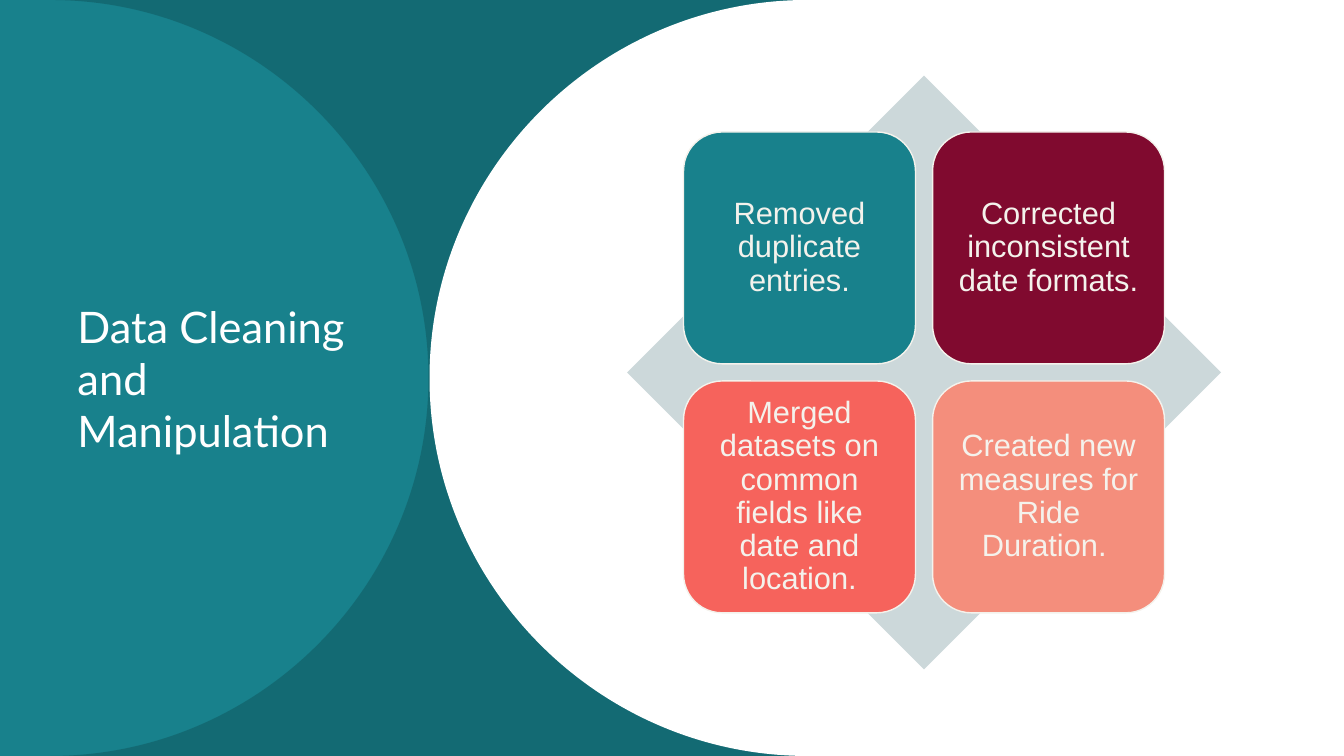
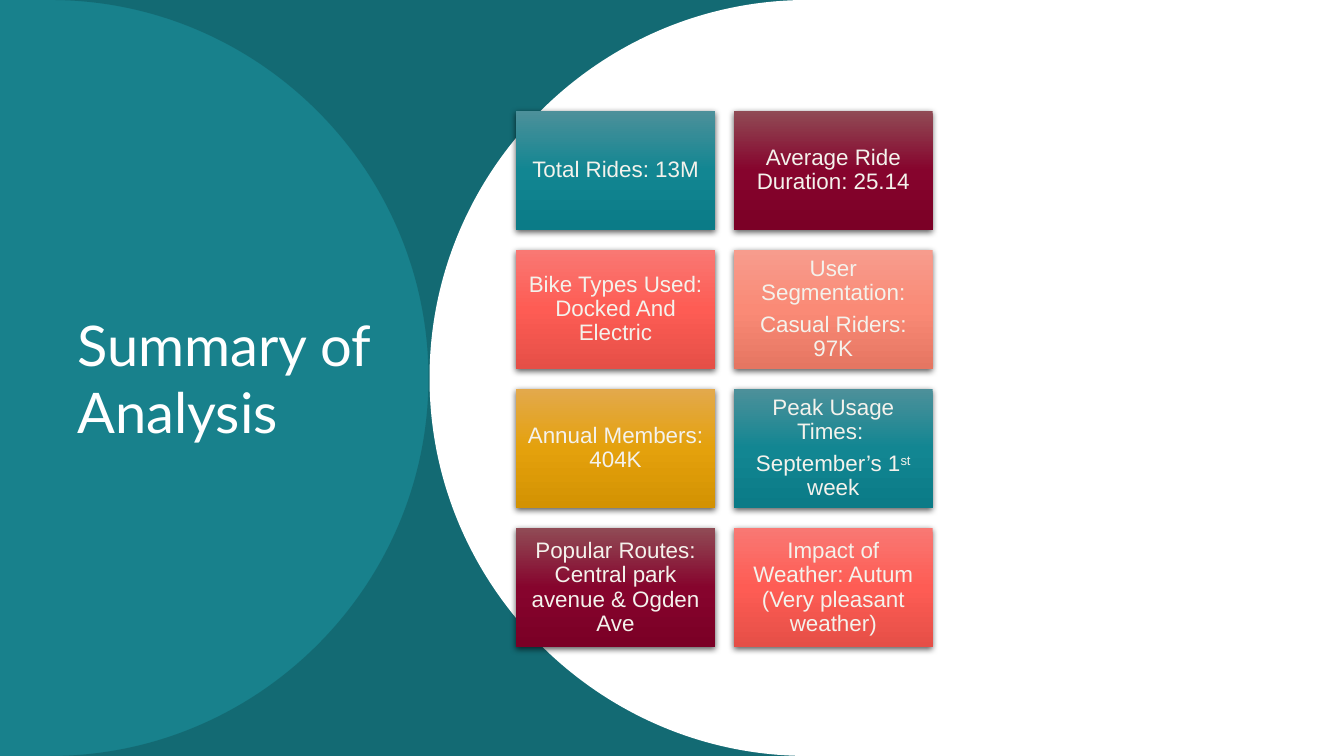
from dataclasses import dataclass

from pptx import Presentation
from pptx import util as u
from pptx.dml.color import RGBColor
from pptx.enum import shapes, text
from pptx.oxml import parse_xml
from pptx.oxml.ns import nsdecls

# Colours: one hex is a plain fill, three are a gradient from top to bottom
HUES: dict[str, str] = {
    "white": "FFFFFF",
    "cream": "F4F2EC",
    "grey": "CCD8DA",
    "band": "126169",
    "teal": "18818C",
    "wine": "800A2F",
    "coral": "F6635C",
    "peach": "F48E7C",
    "teal fade": "4D909A 128692 0B7B87",
    "wine fade": "904B55 86042D 7B0026",
    "coral fade": "F97873 FE5C54 E54F47",
    "peach fade": "F79C8D FA8A76 E57662",
    "gold fade": "E3A94C E4A10C D39202",
}
PRESET = shapes.MSO_SHAPE
WIDE, HIGH = 13.33, 7.5
RADIUS = HIGH / 2
BEND = 0.55 * RADIUS  # handle length that makes a quarter circle


@dataclass
class Card:
    hue: str
    lines: list[str]  # text between ^ marks is raised


@dataclass
class Grid:
    left: float
    top: float
    width: float
    height: float
    across: float  # step between columns
    down: float  # step between rows
    preset: PRESET
    size: int
    inset: float
    edge: bool
    shade: bool


TILES = Grid(
    6.78, 1.31, 2.3, 2.3, 2.47, 2.47, PRESET.ROUNDED_RECTANGLE, 22, 0.09, True, False
)
BOXES = Grid(5.12, 1.1, 1.97, 1.18, 2.16, 1.38, PRESET.RECTANGLE, 16, 0.07, False, True)

STEPS = [
    Card("teal", ["Removed duplicate entries."]),
    Card("wine", ["Corrected inconsistent date formats."]),
    Card("coral", ["Merged datasets on common fields like date and location."]),
    Card("peach", ["Created new measures for Ride Duration. "]),
]
FACTS = [
    Card("teal fade", ["Total Rides: 13M"]),
    Card("wine fade", ["Average Ride Duration: 25.14"]),
    Card("coral fade", ["Bike Types Used: Docked And Electric"]),
    Card("peach fade", ["User Segmentation:", "Casual Riders: 97K"]),
    Card("gold fade", ["Annual Members: 404K"]),
    Card("teal fade", ["Peak Usage Times: ", "September’s 1^st^ week"]),
    Card("wine fade", ["Popular Routes: Central park avenue & Ogden Ave"]),
    Card("coral fade", ["Impact of Weather: Autum (Very pleasant weather)"]),
]


def rgb(hue: str) -> RGBColor:
    return RGBColor.from_string(HUES[hue])


def paint(shape, hue: str) -> None:
    """Fill a shape, with no outline and no shadow."""
    shape.shadow.inherit = False
    shape.line.fill.background()
    codes = HUES[hue].split()
    if len(codes) == 1:
        shape.fill.solid()
        shape.fill.fore_color.rgb = rgb(hue)
        return
    stops = "".join(
        f'<a:gs pos="{50000 * i}"><a:srgbClr val="{code}"/></a:gs>'
        for i, code in enumerate(codes)
    )
    fade = parse_xml(
        f'<a:gradFill {nsdecls("a")} rotWithShape="1"><a:gsLst>{stops}</a:gsLst>'
        '<a:lin ang="5400000" scaled="0"/></a:gradFill>'
    )
    shape._element.spPr.find("{*}prstGeom").addnext(fade)


def shade(shape) -> None:
    """Give a shape a soft shadow below it."""
    glow = parse_xml(
        f'<a:outerShdw {nsdecls("a")} blurRad="57150" dist="19050" dir="5400000" '
        'algn="ctr" rotWithShape="0"><a:srgbClr val="000000">'
        '<a:alpha val="63000"/></a:srgbClr></a:outerShdw>'
    )
    shape._element.spPr.find("{*}effectLst").append(glow)


def block(slide, preset: PRESET, left: float, top: float, width: float, height: float, hue: str):
    box = [u.Inches(n) for n in (left, top, width, height)]
    shape = slide.shapes.add_shape(preset, *box)
    paint(shape, hue)
    return shape


def curve(slide, axis: float, side: int, right: float, hue: str):
    """Draw a panel whose left edge is a half circle; side 1 cuts in, -1 bulges out."""
    tip, pull = axis + side * RADIUS, axis + side * BEND
    spots = [
        (axis, 0),
        (pull, 0), (tip, RADIUS - BEND), (tip, RADIUS),
        (tip, RADIUS + BEND), (pull, HIGH), (axis, HIGH),
        (right, HIGH),
    ]
    form = slide.shapes.build_freeform(u.Inches(right), 0)
    form.add_line_segments([(u.Inches(x), u.Inches(y)) for x, y in spots], close=True)
    shape = form.convert_to_shape()
    # Turn each run of three arc points into one curve
    legs = list(shape._element.spPr.iter("{*}lnTo"))
    for trio in (legs[1:4], legs[4:7]):
        bow = parse_xml(f'<a:cubicBezTo {nsdecls("a")}/>')
        trio[0].addprevious(bow)
        for leg in trio:
            bow.append(leg[0])
            leg.getparent().remove(leg)
    paint(shape, hue)
    return shape


def base(deck, title: str, size: int):
    """Start a slide with the curved panels and its title."""
    slide = deck.slides.add_slide(deck.slide_layouts[6])
    block(slide, PRESET.RECTANGLE, 0, 0, 8.04, HIGH, "teal")
    band = curve(slide, 0.5, 1, 8.54, "band")
    clear = parse_xml(f'<a:alpha {nsdecls("a")} val="70000"/>')
    band._element.spPr.find("{*}solidFill")[0].append(clear)
    curve(slide, 8.01, -1, 10.78, "white")

    box = slide.shapes.add_textbox(*[u.Inches(n) for n in (0.67, 0.75, 3.25, 6)])
    frame = box.text_frame
    frame.word_wrap = True
    frame.vertical_anchor = text.MSO_ANCHOR.MIDDLE
    frame.text = title
    font = frame.paragraphs[0].runs[0].font
    font.name, font.size, font.color.rgb = "Lato", u.Pt(size), rgb("white")
    return slide


def write(shape, lines: list[str], grid: Grid) -> None:
    frame = shape.text_frame
    frame.word_wrap = True
    frame.vertical_anchor = text.MSO_ANCHOR.MIDDLE
    pad = u.Inches(grid.inset)
    frame.margin_left = frame.margin_right = frame.margin_top = frame.margin_bottom = pad
    for i, line in enumerate(lines):
        para = frame.add_paragraph() if i else frame.paragraphs[0]
        para.alignment = text.PP_ALIGN.CENTER
        para.line_spacing = 0.9
        para.space_after = u.Pt(0.35 * grid.size)
        for j, part in enumerate(line.split("^")):
            run = para.add_run()
            run.text = part
            font = run.font
            font.name, font.size, font.color.rgb = "Arial", u.Pt(grid.size), rgb("cream")
            if j % 2:
                run._r.get_or_add_rPr().set("baseline", "30000")


def fill(slide, grid: Grid, cards: list[Card]) -> None:
    """Lay the cards out in two columns."""
    for i, card in enumerate(cards):
        row, col = divmod(i, 2)
        left = grid.left + col * grid.across
        top = grid.top + row * grid.down
        shape = block(slide, grid.preset, left, top, grid.width, grid.height, card.hue)
        if grid.edge:
            shape.line.color.rgb = rgb("cream")
            shape.line.width = u.Pt(1)
        if grid.shade:
            shade(shape)
        write(shape, card.lines, grid)


def main() -> None:
    deck = Presentation()
    deck.slide_width, deck.slide_height = u.Inches(WIDE), u.Inches(HIGH)

    # Cleaning steps on a diamond
    slide = base(deck, "Data Cleaning and Manipulation", 31)
    block(slide, PRESET.DIAMOND, 6.22, 0.75, 5.89, 5.89, "grey")
    fill(slide, TILES, STEPS)

    # Key findings
    slide = base(deck, "Summary of Analysis", 40)
    fill(slide, BOXES, FACTS)

    deck.save("out.pptx")


if __name__ == "__main__":
    main()
